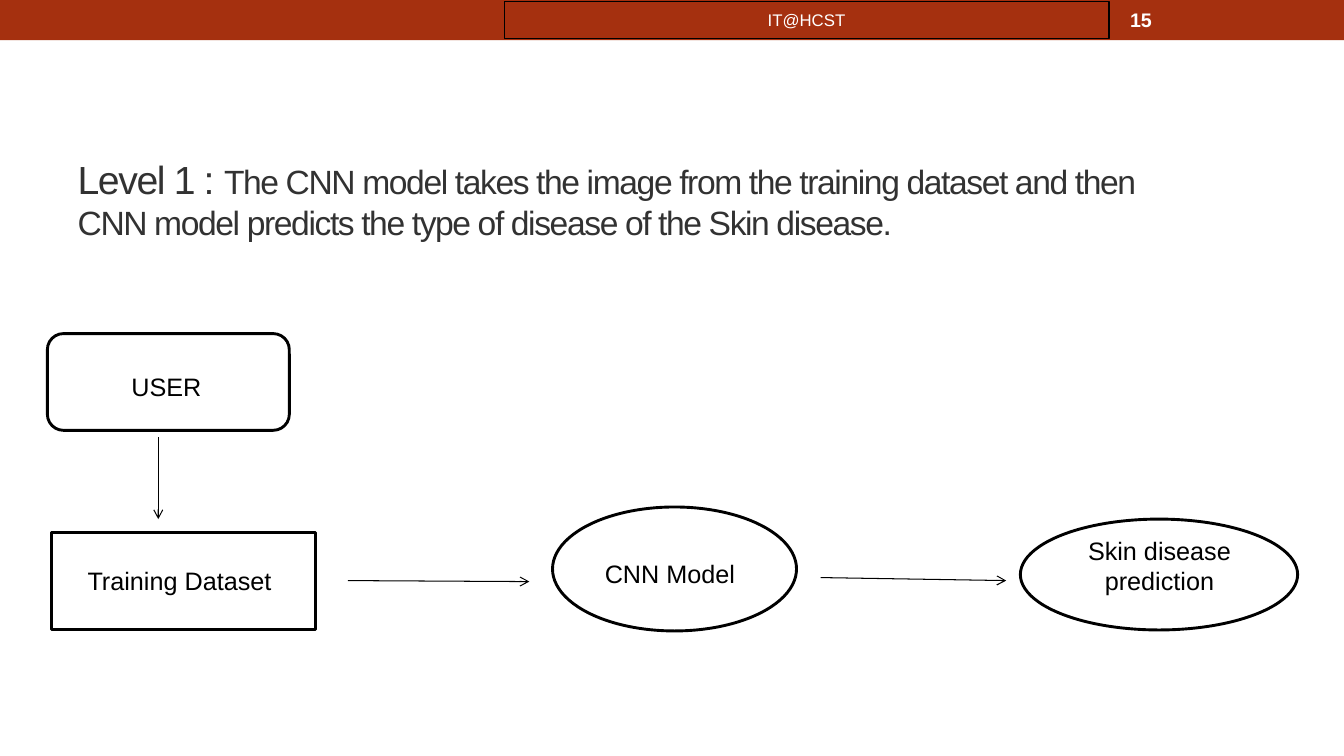
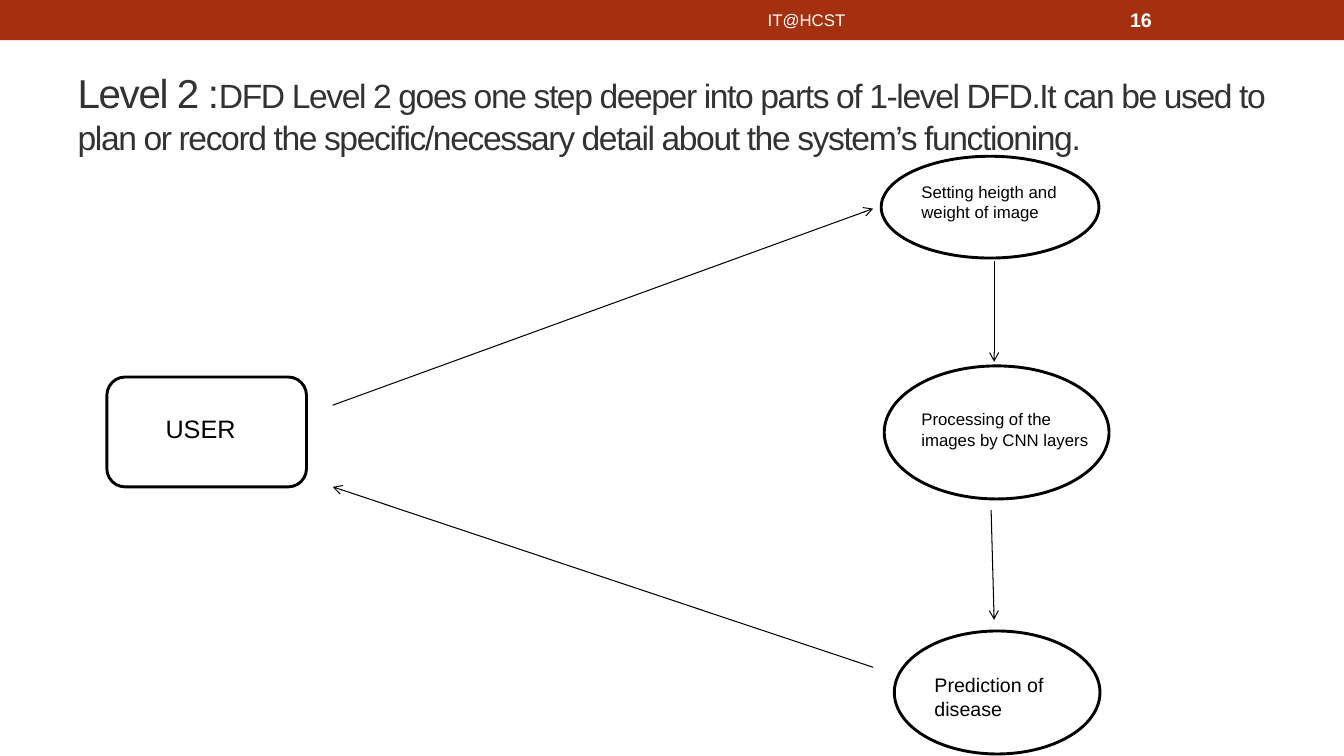
"""Build two data flow diagram slides for a skin disease classifier."""
from dataclasses import dataclass

import pptx
import pptx.dml.color
import pptx.enum.shapes
import pptx.enum.text
import pptx.oxml
import pptx.oxml.ns
import pptx.util
from lxml import etree

Inches = pptx.util.Inches
Shape = pptx.enum.shapes.MSO_SHAPE
Align = pptx.enum.text.PP_ALIGN
Anchor = pptx.enum.text.MSO_ANCHOR
AutoSize = pptx.enum.text.MSO_AUTO_SIZE

FONT = "Arial"
BAND = "A5300F"
TITLE = "323232"
BLACK = "000000"
WHITE = "FFFFFF"
HEADER_TOP, HEADER_HEIGHT = 0.02, 0.36
NODE_LINE, THIN_LINE = 2.08, 0.75


@dataclass(frozen=True)
class Area:
    """Hold a left, top, width and height in inches."""

    left: float
    top: float
    width: float
    height: float

    def lengths(self) -> tuple:
        """Return the four values as lengths."""
        return tuple(Inches(value) for value in (self.left, self.top, self.width, self.height))


@dataclass(frozen=True)
class Node:
    """Describe an outlined diagram shape."""

    kind: Shape
    area: Area


@dataclass(frozen=True)
class Label:
    """Describe the text laid over a node."""

    text: str
    area: Area
    size: float = 18
    align: Align = Align.LEFT


@dataclass(frozen=True)
class Arrow:
    """Describe an arrow by its two end points."""

    start: tuple[float, float]
    end: tuple[float, float]


@dataclass(frozen=True)
class Diagram:
    """Describe the content of one slide."""

    number: int
    heading: str
    heading_size: float
    summary: str
    title_area: Area
    boxed_header: bool
    nodes: list[Node]
    labels: list[Label]
    arrows: list[Arrow]


def rgb(value: str) -> pptx.dml.color.RGBColor:
    """Turn a hex string into a colour."""
    return pptx.dml.color.RGBColor.from_string(value)


def add_text(para, text: str, *, size: float, color: str = BLACK, bold: bool = False,
             tracking: float = 0, align: Align = Align.LEFT) -> None:
    """Append formatted text to a paragraph, breaking lines at newlines."""
    para.alignment = align
    for index, line in enumerate(text.split("\n")):
        if index:
            para.add_line_break()
        span = para.add_run()
        span.text = line
        span.font.name = FONT
        span.font.size = pptx.util.Pt(size)
        span.font.bold = bold
        span.font.color.rgb = rgb(color)
        if tracking:
            span.font._element.set("spc", str(round(tracking * 100)))


def add_box(page, area: Area, anchor: Anchor = Anchor.TOP):
    """Add a wrapping text box and return it."""
    box = page.shapes.add_textbox(*area.lengths())
    box.text_frame.word_wrap = True
    box.text_frame.vertical_anchor = anchor
    return box


def add_shape(page, kind: Shape, area: Area, fill: str, line_width: float = 0):
    """Add a filled shape with an optional black outline."""
    shape = page.shapes.add_shape(kind, *area.lengths())
    shape.shadow.inherit = False
    shape.fill.solid()
    shape.fill.fore_color.rgb = rgb(fill)
    if line_width:
        shape.line.color.rgb = rgb(BLACK)
        shape.line.width = pptx.util.Pt(line_width)
    else:
        shape.line.fill.background()
    return shape


def add_arrow(page, arrow: Arrow) -> None:
    """Add a thin straight arrow."""
    points = [Inches(value) for value in (*arrow.start, *arrow.end)]
    connector = page.shapes.add_connector(pptx.enum.shapes.MSO_CONNECTOR.STRAIGHT, *points)
    connector.line.color.rgb = rgb(BLACK)
    connector.line.width = pptx.util.Pt(THIN_LINE)
    qn = pptx.oxml.ns.qn
    properties = connector._element.spPr
    etree.SubElement(properties.find(qn("a:ln")), qn("a:tailEnd"), type="arrow")
    etree.SubElement(properties, qn("a:effectLst"))


def add_header(page, number: int, boxed: bool) -> None:
    """Add the top band with its caption and page number."""
    add_shape(page, Shape.RECTANGLE, Area(0, 0, 13.33, 0.4), BAND)
    area = Area(5, HEADER_TOP, 6, HEADER_HEIGHT)
    if boxed:
        caption = add_shape(page, Shape.RECTANGLE, area, BAND, THIN_LINE)
        caption.text_frame.vertical_anchor = Anchor.MIDDLE
    else:
        caption = add_box(page, area, Anchor.MIDDLE)
    add_text(caption.text_frame.paragraphs[0], "IT@HCST", size=12, color=WHITE,
             align=Align.CENTER)
    box = add_box(page, Area(11.11, HEADER_TOP, 1.56, HEADER_HEIGHT), Anchor.MIDDLE)
    add_text(box.text_frame.paragraphs[0], str(number), size=14, color=WHITE, bold=True)


def add_title(page, diagram: Diagram) -> None:
    """Fill and place the title placeholder."""
    title = page.shapes.title
    title.left, title.top, title.width, title.height = diagram.title_area.lengths()
    frame = title.text_frame
    frame.word_wrap = True
    frame.auto_size = AutoSize.NONE
    frame.vertical_anchor = Anchor.MIDDLE
    for text, size in ((diagram.heading, diagram.heading_size), (diagram.summary, 24)):
        add_text(frame.paragraphs[0], text, size=size, color=TITLE, tracking=-1)


def add_label(page, label: Label) -> None:
    """Add a node label, one paragraph per line."""
    frame = add_box(page, label.area).text_frame
    frame.auto_size = AutoSize.SHAPE_TO_FIT_TEXT
    for index, line in enumerate(label.text.split("\n")):
        para = frame.add_paragraph() if index else frame.paragraphs[0]
        add_text(para, line, size=label.size, align=label.align)


def add_diagram(deck, diagram: Diagram) -> None:
    """Add one complete diagram slide."""
    page = deck.slides.add_slide(deck.slide_layouts.get_by_name("Title Only"))
    add_header(page, diagram.number, diagram.boxed_header)
    add_title(page, diagram)
    for node in diagram.nodes:
        add_shape(page, node.kind, node.area, WHITE, NODE_LINE)
    for arrow in diagram.arrows:
        add_arrow(page, arrow)
    for label in diagram.labels:
        add_label(page, label)


DIAGRAMS = [
    Diagram(
        number=15,
        heading="Level 1 : ",
        heading_size=28,
        summary="The CNN model takes the image from the training dataset and then\n"
                "CNN model predicts the type of disease of the Skin disease.",
        title_area=Area(0.67, 0.58, 12.02, 2.78),
        boxed_header=True,
        nodes=[
            Node(Shape.ROUNDED_RECTANGLE, Area(0.47, 3.31, 2.4, 0.96)),
            Node(Shape.RECTANGLE, Area(0.51, 5.28, 2.62, 0.97)),
            Node(Shape.OVAL, Area(5.48, 5.03, 2.42, 1.23)),
            Node(Shape.OVAL, Area(10.12, 5.15, 2.75, 1.1)),
        ],
        labels=[
            Label("USER", Area(0.86, 3.63, 1.58, 0.4), align=Align.CENTER),
            Label("Training Dataset", Area(0.77, 5.56, 2.1, 0.4)),
            Label("CNN Model", Area(5.9, 5.49, 1.59, 0.4)),
            Label("Skin disease\nprediction", Area(10.68, 5.26, 1.64, 0.7), align=Align.CENTER),
        ],
        arrows=[
            Arrow((1.57, 4.34), (1.57, 5.15)),
            Arrow((3.45, 5.76), (5.25, 5.77)),
            Arrow((8.14, 5.73), (9.98, 5.76)),
        ],
    ),
    Diagram(
        number=16,
        heading="Level 2 :",
        heading_size=28.8,
        summary="DFD Level 2 goes one step deeper into parts of 1-level DFD.It can be used to "
                "plan or record the specific/necessary detail about the system’s functioning.",
        title_area=Area(0.67, 0.58, 12, 1.08),
        boxed_header=False,
        nodes=[
            Node(Shape.ROUNDED_RECTANGLE, Area(1.06, 3.74, 1.98, 1.09)),
            Node(Shape.OVAL, Area(8.74, 1.55, 2.16, 1.01)),
            Node(Shape.OVAL, Area(8.77, 3.63, 2.23, 1.32)),
            Node(Shape.OVAL, Area(8.87, 6.26, 2.04, 1.22)),
        ],
        labels=[
            Label("USER", Area(1.41, 4.05, 1.16, 0.4), align=Align.CENTER),
            Label("Setting heigth and weight of image", Area(9.04, 1.75, 1.55, 0.5), 12),
            Label("Processing of the images by CNN layers", Area(9.04, 4.01, 2, 0.5), 12),
            Label("Prediction of disease", Area(9.17, 6.63, 1.56, 0.57), 14),
        ],
        arrows=[
            Arrow((3.3, 4.02), (8.66, 2.07)),
            Arrow((9.86, 2.59), (9.86, 3.59)),
            Arrow((9.83, 5.06), (9.86, 6.15)),
            Arrow((8.66, 6.62), (3.3, 4.83)),
        ],
    ),
]


def main() -> None:
    """Build and save the deck."""
    deck = pptx.Presentation()
    deck.slide_width, deck.slide_height = Inches(13.33), Inches(7.5)
    for diagram in DIAGRAMS:
        add_diagram(deck, diagram)
    deck.save("out.pptx")


if __name__ == "__main__":
    main()
